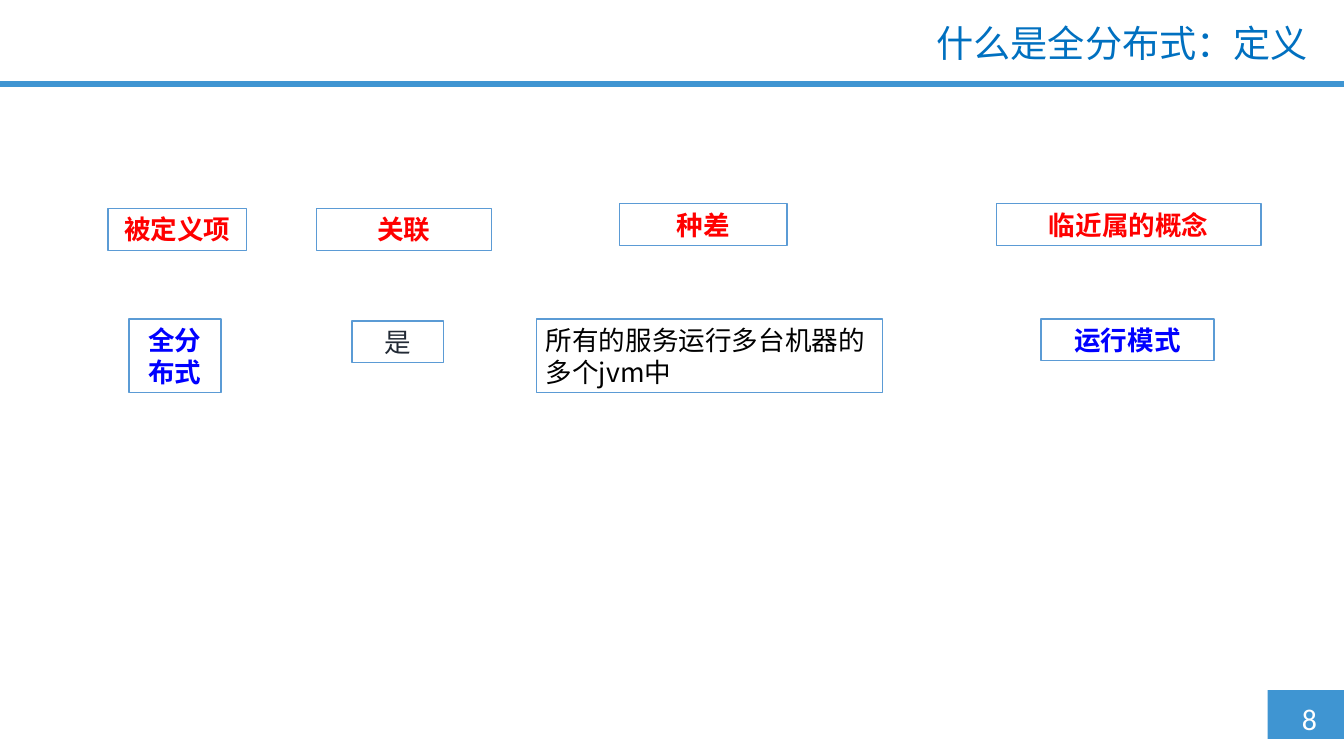
from lxml import etree
from pptx import Presentation
from pptx.dml.color import RGBColor
from pptx.enum.shapes import MSO_SHAPE
from pptx.enum.text import MSO_ANCHOR, PP_ALIGN
from pptx.oxml.ns import qn
from pptx.util import Cm, Pt

RECT = MSO_SHAPE.RECTANGLE
TOP, MIDDLE = MSO_ANCHOR.TOP, MSO_ANCHOR.MIDDLE
LEFT, CENTER, RIGHT = PP_ALIGN.LEFT, PP_ALIGN.CENTER, PP_ALIGN.RIGHT

TITLE = "什么是全分布式：定义"
PAGE = "8"
CJK, LATIN = "Noto Sans CJK SC", "Calibri"
COLORS = {
    "bar": "3F95D2", "title": "0070C0", "border": "5B9BD5", "white": "FFFFFF",
    "heading": "FF0000", "term": "0000FF", "link": "222A35", "body": "000000",
}

# (text, left, top, width, lines, colour, bold, alignment)
BOXES = [
    ("所有的服务运行多台机器的多个jvm中", 14.25, 8.48, 9.2, 2, "body", False, LEFT),
    ("运行模式", 27.66, 8.48, 4.6, 1, "term", True, CENTER),
    ("临近属的概念", 26.47, 5.41, 7.04, 1, "heading", True, CENTER),
    ("关联", 8.41, 5.54, 4.65, 1, "heading", True, CENTER),
    ("种差", 16.46, 5.41, 4.45, 1, "heading", True, CENTER),
    ("全分布式", 3.43, 8.48, 2.44, 2, "term", True, CENTER),
    ("是", 9.35, 8.53, 2.44, 1, "link", False, CENTER),
    ("被定义项", 2.87, 5.54, 3.68, 1, "heading", True, CENTER),
]
LINE_H, PADDING = 0.85, 0.26


def rgb(name):
    """Return the named colour."""
    return RGBColor.from_string(COLORS[name])


def add_rect(slide, left, top, width, height, fill, line=None):
    """Add a flat rectangle, with a border if a line colour is given."""
    s = slide.shapes.add_shape(RECT, Cm(left), Cm(top), Cm(width), Cm(height))
    s.shadow.inherit = False
    s.fill.solid()
    s.fill.fore_color.rgb = rgb(fill)
    if line:
        s.line.color.rgb = rgb(line)
        s.line.width = Pt(1)
    else:
        s.line.fill.background()
    return s


def write(s, text, size, color, font=CJK, bold=False, align=LEFT,
          anchor=TOP, spacing=None, wrap=True):
    """Put one formatted run into a shape."""
    tf = s.text_frame
    tf.word_wrap = wrap
    tf.vertical_anchor = anchor
    p = tf.paragraphs[0]
    p.alignment = align
    p.line_spacing = spacing
    r = p.add_run()
    r.text = text
    r.font.size = Pt(size)
    r.font.bold = bold
    r.font.color.rgb = rgb(color)
    r.font.name = font
    etree.SubElement(r.font._element, qn("a:ea")).set("typeface", font)


def main():
    """Build the definition slide."""
    prs = Presentation()
    prs.slide_width, prs.slide_height = Cm(35.71), Cm(20.09)
    slide = prs.slides.add_slide(prs.slide_layouts[6])

    add_rect(slide, 33.68, 18.34, 2.03, 1.3, "bar")
    add_rect(slide, 0, 2.16, 35.71, 0.15, "bar")
    page = slide.shapes.add_textbox(Cm(34.34), Cm(18.49), Cm(1.65), Cm(1.22))
    write(page, PAGE, 22.5, "white", font=LATIN, wrap=False)

    for text, left, top, width, lines, color, bold, align in BOXES:
        box = add_rect(slide, left, top, width, lines * LINE_H + PADDING, "white", "border")
        write(box, text, 20, color, bold=bold, align=align, anchor=MIDDLE, spacing=Pt(24))

    title = slide.shapes.add_textbox(Cm(24.05), Cm(0.56), Cm(10.95), Cm(1.45))
    write(title, TITLE, 28, "title", align=RIGHT, spacing=0.9)
    prs.save("out.pptx")


if __name__ == "__main__":
    main()
